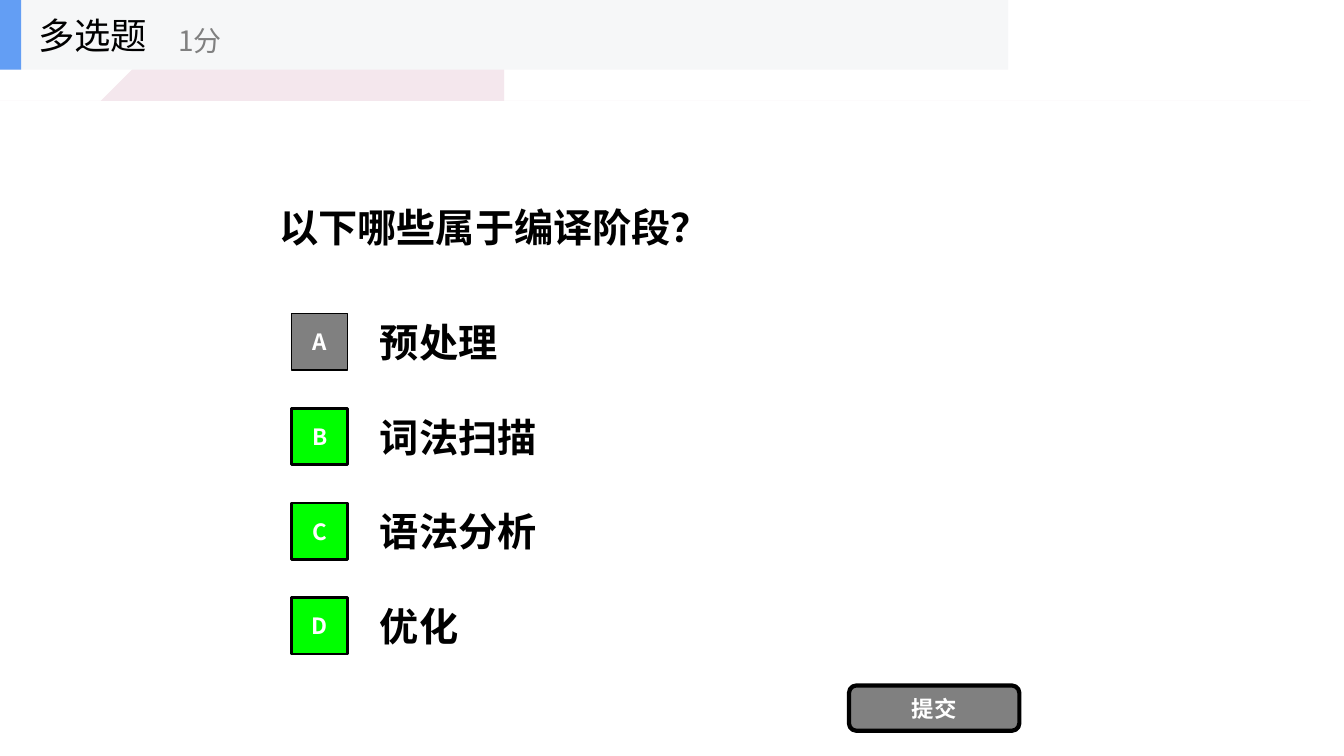
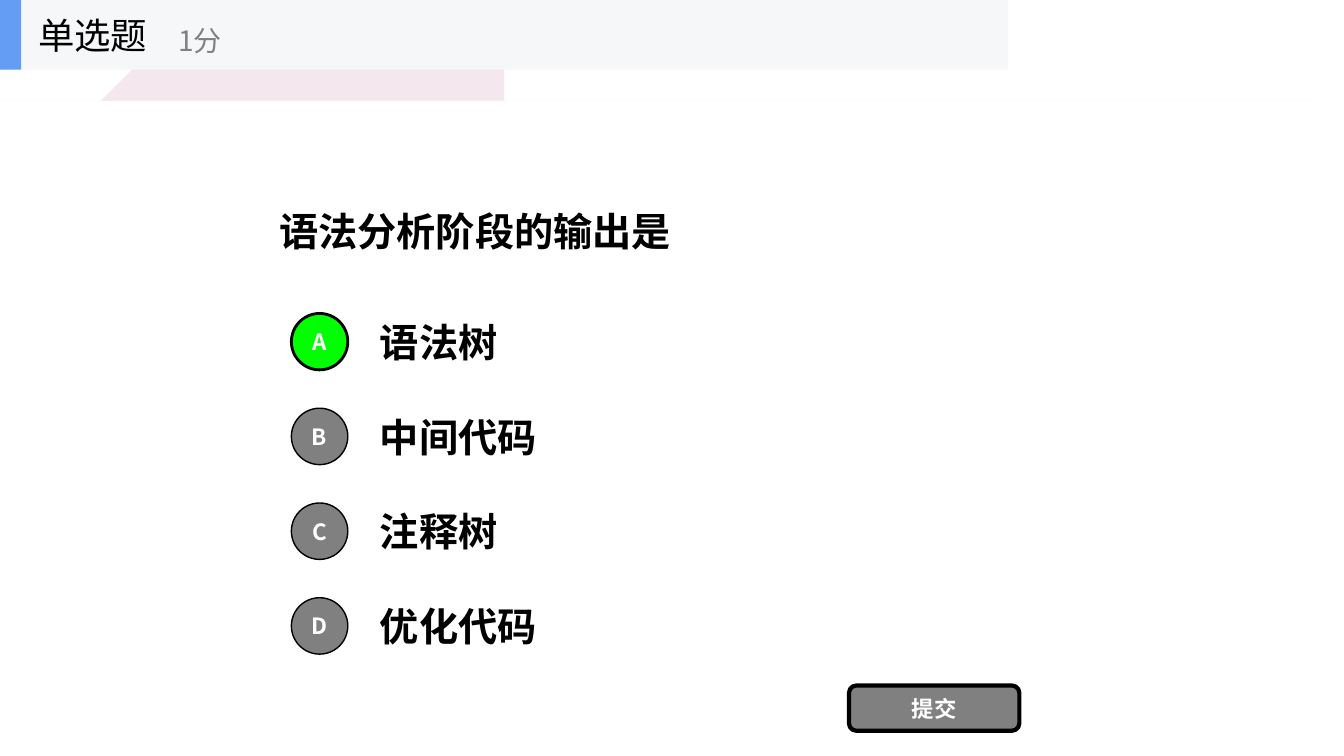
from dataclasses import dataclass

from lxml import etree
from pptx import Presentation
from pptx.dml.color import RGBColor
from pptx.enum.shapes import MSO_SHAPE as Shape
from pptx.enum.text import MSO_ANCHOR as Anchor, MSO_AUTO_SIZE as AutoSize, PP_ALIGN as Align
from pptx.oxml.ns import qn
from pptx.util import Inches, Pt


@dataclass(frozen=True)
class Theme:
    font: str = "Noto Sans CJK SC"
    black: str = "000000"
    white: str = "FFFFFF"
    gray: str = "808080"
    green: str = "00FF00"
    blue: str = "639EF4"
    bar: str = "F6F7F8"
    band: str = "F4E7ED"
    body_size: int = 28
    kind_size: int = 26
    score_size: int = 20
    label_size: int = 16


T = Theme()
BAND = [(0, 1.03), (1.02, 1.03), (1.8, 0.39), (5, 0.39),
        (5.24, 0.6), (13.32, 0.59), (13.34, 1.38), (0.01, 1.36)]
OPTION_TOP, OPTION_STEP, OPTION_H = 3.04, 0.94, 0.7
MARKER_SIZE = 0.56


def place(sp, x, y, w, h):
    sp.left, sp.top, sp.width, sp.height = map(Inches, (x, y, w, h))


def write(sp, text, size, color, bold=False, align=Align.LEFT):
    tf = sp.text_frame
    tf.text = text
    tf.word_wrap = True
    tf.auto_size = AutoSize.NONE
    tf.vertical_anchor = Anchor.MIDDLE
    p = tf.paragraphs[0]
    p.alignment = align
    font = p.runs[0].font
    font.name, font.size, font.bold = T.font, Pt(size), bold
    font.color.rgb = RGBColor.from_string(color)
    for props in sp.element.iter(qn("a:rPr")):
        etree.SubElement(props, qn("a:ea"), typeface=T.font)


def paint(sp, fill, line_width=0):
    sp.shadow.inherit = False
    sp.fill.solid()
    sp.fill.fore_color.rgb = RGBColor.from_string(fill)
    if line_width:
        sp.line.color.rgb = RGBColor.from_string(T.black)
        sp.line.width = Pt(line_width)
    else:
        sp.line.fill.background()


def add_text(shapes, box, text, size, color=T.black, bold=False):
    sp = shapes.add_textbox(*map(Inches, box))
    write(sp, text, size, color, bold)


def add_block(shapes, kind, box, fill, line_width=0, text=None):
    sp = shapes.add_shape(kind, *map(Inches, box))
    paint(sp, fill, line_width)
    if text:
        tf = sp.text_frame
        tf.margin_left = tf.margin_right = tf.margin_top = tf.margin_bottom = 0
        write(sp, text, T.label_size, T.white, True, Align.CENTER)


def move_band_to_layout(s, layout):
    builder = s.shapes.build_freeform(*BAND[0], scale=Inches(1))
    builder.add_line_segments(BAND[1:], close=True)
    sp = builder.convert_to_shape()
    paint(sp, T.band)
    layout.shapes.element.insert(2, sp.element)


def add_title(s, text, top):
    title = s.shapes.title
    place(title, 2.67, top, 8, 3.04 - top)
    write(title, text, T.body_size, T.black, True)


def add_options(s, marker, options, answers):
    for i, (letter, text) in enumerate(zip("ABCD", options)):
        y = OPTION_TOP + i * OPTION_STEP
        add_text(s.shapes, (3.67, y, 7, OPTION_H), text, T.body_size, bold=True)
        fill, line_width = (T.green, 2) if letter in answers else (T.gray, 1)
        marker_y = y + (OPTION_H - MARKER_SIZE) / 2
        add_block(s.shapes, marker, (2.89, marker_y, MARKER_SIZE, MARKER_SIZE),
                  fill, line_width, letter)


def add_header(s, kind, score):
    shapes = s.shapes.add_group_shape().shapes
    add_block(shapes, Shape.RECTANGLE, (0, 0, 10, 0.69), T.bar)
    add_block(shapes, Shape.RECTANGLE, (0, 0, 0.21, 0.69), T.blue)
    add_text(shapes, (0.28, 0, 2.08, 0.69), kind, T.kind_size)
    add_text(shapes, (1.67, 0.12, 2.5, 0.56), score, T.score_size, T.gray)


def add_question(prs, layout, kind, marker, question, top, options, answers):
    s = prs.slides.add_slide(layout)
    add_title(s, question, top)
    add_options(s, marker, options, answers)
    add_block(s.shapes, Shape.ROUNDED_RECTANGLE, (8.42, 6.8, 1.69, 0.45), T.gray, 3, "提交")
    add_header(s, kind, "1分")
    return s


def main():
    prs = Presentation()
    prs.slide_width, prs.slide_height = Inches(13.33), Inches(7.5)
    layout = prs.slide_layouts[5]
    s = add_question(prs, layout, "多选题", Shape.RECTANGLE, "以下哪些属于编译阶段？", 1.47,
                     ["预处理", "词法扫描", "语法分析", "优化"], "BCD")
    move_band_to_layout(s, layout)
    add_question(prs, layout, "单选题", Shape.OVAL, "语法分析阶段的输出是", 1.55,
                 ["语法树", "中间代码", "注释树", "优化代码"], "A")
    prs.save("out.pptx")


if __name__ == "__main__":
    main()
